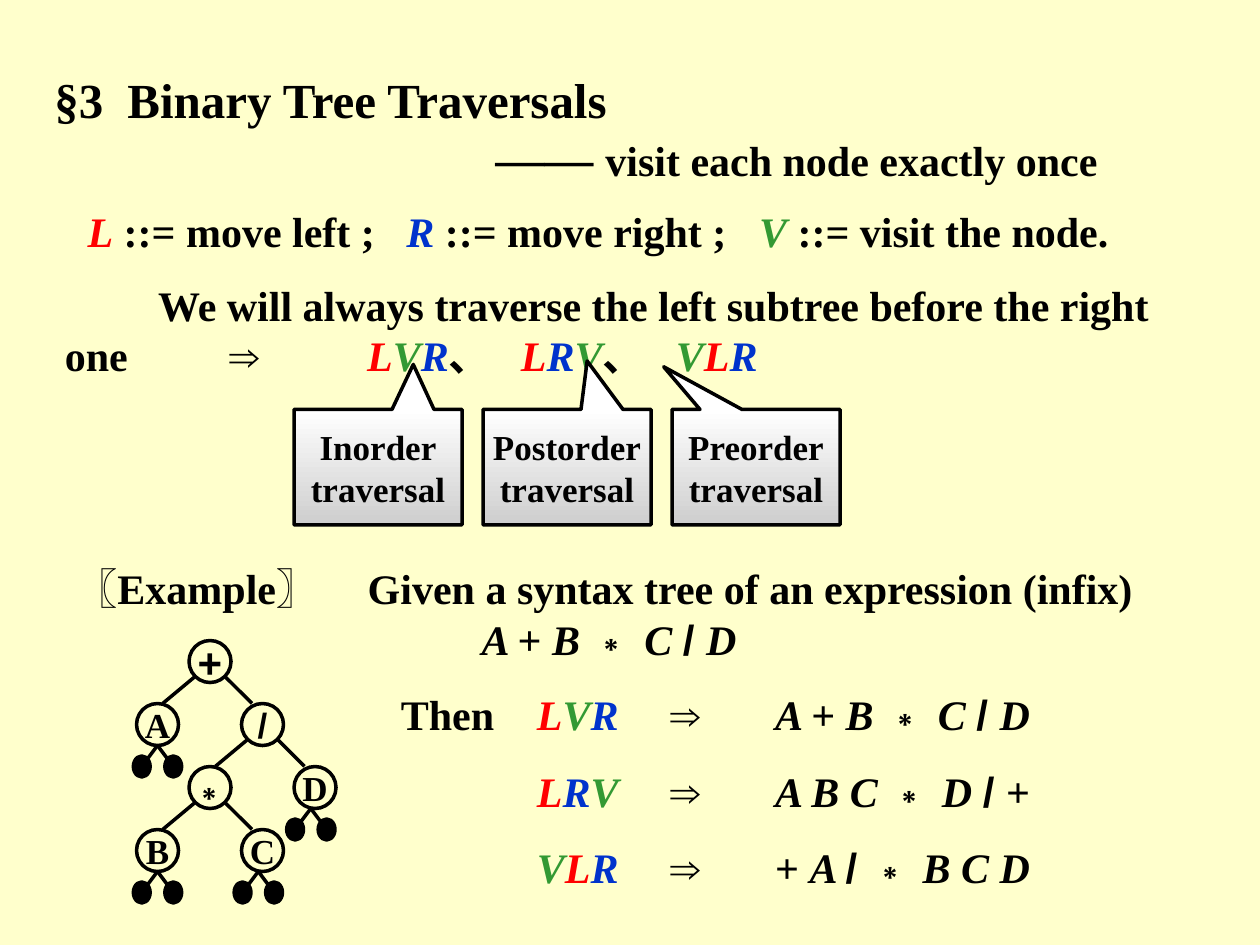
import pptx
import pptx.dml.color
import pptx.enum.shapes
import pptx.enum.text
import pptx.oxml.ns
import pptx.util
from lxml import etree

RGB = pptx.dml.color.RGBColor
SHAPE = pptx.enum.shapes.MSO_SHAPE
CENTER = pptx.enum.text.PP_ALIGN.CENTER

CREAM = RGB(0xFF, 0xFF, 0xCC)
BLACK = RGB(0x00, 0x00, 0x00)
WHITE = RGB(0xFF, 0xFF, 0xFF)
GREY = RGB(0xCE, 0xCE, 0xCE)
RED = RGB(0xFF, 0x00, 0x00)
BLUE = RGB(0x00, 0x33, 0xCC)
GREEN = RGB(0x33, 0x99, 0x33)
STEP_COLORS = {"L": RED, "R": BLUE, "V": GREEN}

SERIF, SANS = "Times New Roman", "Arial"
SLIDE_WIDTH = pptx.util.Inches(10)
SLIDE_HEIGHT = pptx.util.Inches(7.5)
COLUMNS = 120  # the slide is a grid of 120 x 90 square cells


def cells(count):
    return round(SLIDE_WIDTH * count / COLUMNS)


def run(text, size=24, font=SERIF, color=BLACK, italic=False):
    return text, size, font, color, italic


def steps(order):
    """Runs for a visiting order such as LVR, one colour per step."""
    return [run(step, color=STEP_COLORS[step], italic=True) for step in order]


def expression(text):
    """Runs for an expression: italic operands, upright operators."""
    tokens = text.split(" ")
    runs = []
    for number, token in enumerate(tokens, 1):
        space = " " if number < len(tokens) else ""
        font = SANS if token in "∗/" else SERIF
        runs.append(run(token + space, font=font, italic=token.isalpha()))
    return runs


def write(paragraph, runs, tabs=(), indent=0, before=0, align=None):
    """Fill a paragraph; tabs and indent are inches from the text edge."""
    properties = paragraph._p.get_or_add_pPr()
    if indent:
        properties.set("indent", str(pptx.util.Inches(indent)))
    if tabs:
        qn = pptx.oxml.ns.qn
        stops = etree.SubElement(properties, qn("a:tabLst"))
        for stop in tabs:
            etree.SubElement(stops, qn("a:tab"),
                             pos=str(pptx.util.Inches(stop)), algn="l")
    if before:
        paragraph.space_before = pptx.util.Pt(before)
    if align is not None:
        paragraph.alignment = align
    for text, size, font, color, italic in runs:
        part = paragraph.add_run()
        part.text = text
        part.font.size = pptx.util.Pt(size)
        part.font.name = font
        part.font.bold = True
        part.font.italic = italic
        part.font.color.rgb = color


def write_all(frame, paragraphs):
    for number, options in enumerate(paragraphs):
        write(frame.add_paragraph() if number else frame.paragraphs[0], **options)


def add_text(slide, column, row, width, height, *paragraphs):
    frame = slide.shapes.add_textbox(*map(cells, (column, row, width, height))).text_frame
    frame.word_wrap = True
    frame.auto_size = pptx.enum.text.MSO_AUTO_SIZE.SHAPE_TO_FIT_TEXT
    write_all(frame, paragraphs)


def add_outlined(shapes, kind, column, row, width, height, lines=()):
    shape = shapes.add_shape(kind, *map(cells, (column, row, width, height)))
    shape.shadow.inherit = False
    shape.line.color.rgb = BLACK
    shape.line.width = pptx.util.Pt(2)
    frame = shape.text_frame
    frame.word_wrap = False
    frame.vertical_anchor = pptx.enum.text.MSO_ANCHOR.MIDDLE
    write_all(frame, [dict(runs=[line], align=CENTER) for line in lines])
    return shape


def add_callout(slide, column, name, tip_x, tip_y):
    lines = [run(name, 20), run("traversal", 20)]
    callout = add_outlined(slide.shapes, SHAPE.RECTANGULAR_CALLOUT, column, 39, 16, 11, lines)
    callout.adjustments[0], callout.adjustments[1] = tip_x, tip_y
    callout.fill.gradient()
    callout.fill.gradient_angle = 90
    for stop, color in zip(callout.fill.gradient_stops, (GREY, WHITE)):
        stop.color.rgb = color


def add_edge(tree, *ends):
    edge = tree.add_connector(pptx.enum.shapes.MSO_CONNECTOR.STRAIGHT, *map(cells, ends))
    edge.line.color.rgb = BLACK
    edge.line.width = pptx.util.Pt(2)
    etree.SubElement(edge._element.spPr, pptx.oxml.ns.qn("a:effectLst"))


def add_null_children(tree, x, y):
    """Two black leaves hanging from the point x, y."""
    for side in (-1.5, 1.5):
        add_edge(tree, x, y, x + side, y + 2)
        leaf = add_outlined(tree, SHAPE.OVAL, x + side - 0.8, y + 1, 1.6, 2)
        leaf.fill.solid()
        leaf.fill.fore_color.rgb = BLACK


def add_node(tree, x, y, label, *children):
    """Draw a node centred on x with top y, then its subtrees."""
    size = 24 if label in "+∗" else 20
    font = SERIF if label.isalpha() else SANS
    add_outlined(tree, SHAPE.OVAL, x - 2, y, 4, 4, [run(label, size, font)]).fill.background()
    for child, side, end in zip(children, (-1, 1), (-4.5, 4)):
        add_edge(tree, x + 1.5 * side, y + 3.5, x + end, y + 6)
        add_node(tree, x + 5 * side, y + 6, *child)
        if len(child) == 1:
            shift = -0.4 if side > 0 else 0
            add_null_children(tree, x + 5 * side + shift, y + 10)


def add_results(slide):
    results = (("Then", "LVR", "A + B ∗ C / D"),
               ("", "LRV", "A B C ∗ D / +"),
               ("", "VLR", "+ A / ∗ B C D"))
    rows = []
    for number, (lead, order, result) in enumerate(results):
        runs = [run(lead + "\t"), *steps(order), run("\t"), run("⇒", font=SANS),
                run("\t"), *expression(result)]
        rows.append(dict(runs=runs, tabs=(1.08, 2.14, 2.97), before=15 if number else 0))
    add_text(slide, 37, 65, 73, 20.6, *rows)


def main():
    deck = pptx.Presentation()
    deck.slide_width, deck.slide_height = SLIDE_WIDTH, SLIDE_HEIGHT
    slide = deck.slides.add_slide(deck.slide_layouts[6])
    slide.background.fill.solid()
    slide.background.fill.fore_color.rgb = CREAM

    add_text(slide, 4, 6, 109, 12.5,
             dict(runs=[run("§3\tBinary Tree Traversals", 28)], tabs=(0.58,)),
             dict(runs=[run("—— ", 28), run("visit each node exactly once")], indent=3.5))
    add_text(slide, 5, 19, 104, 6,
             dict(runs=[run("\t"), *steps("L"), run(" ::= move left ;\t"),
                        *steps("R"), run(" ::= move right ;\t"),
                        *steps("V"), run(" ::= visit the node.")],
                  tabs=(0.18, 2.71, 5.51)))
    # The first stop indents the opening line; the wrapped line passes over it.
    add_text(slide, 5, 26, 109, 10.8,
             dict(runs=[run("\tWe will always traverse the left subtree before the right one\t\t"),
                        run("⇒", font=SANS), run("\t"), *steps("LVR"), run("、\t"),
                        *steps("LRV"), run("、\t"), *steps("VLR")],
                  tabs=(0.74, 1.31, 2.4, 3.62, 4.85)))

    tips = (("Inorder", 0.21, -0.89), ("Postorder", 0.12, -0.92), ("Preorder", -0.55, -0.87))
    for number, tip in enumerate(tips):
        add_callout(slide, 28 + 18 * number, *tip)

    add_text(slide, 6, 53, 104, 10.8,
             dict(runs=[run("〖Example〗\tGiven a syntax tree of an expression (infix)")],
                  tabs=(2.32,)),
             dict(runs=expression("A + B ∗ C / D"), align=CENTER))

    tree = slide.shapes.add_group_shape().shapes
    product = ("∗", ("B",), ("C",))
    add_node(tree, 20, 61, "+", ("A",), ("/", product, ("D",)))
    add_results(slide)
    deck.save("out.pptx")


if __name__ == "__main__":
    main()
